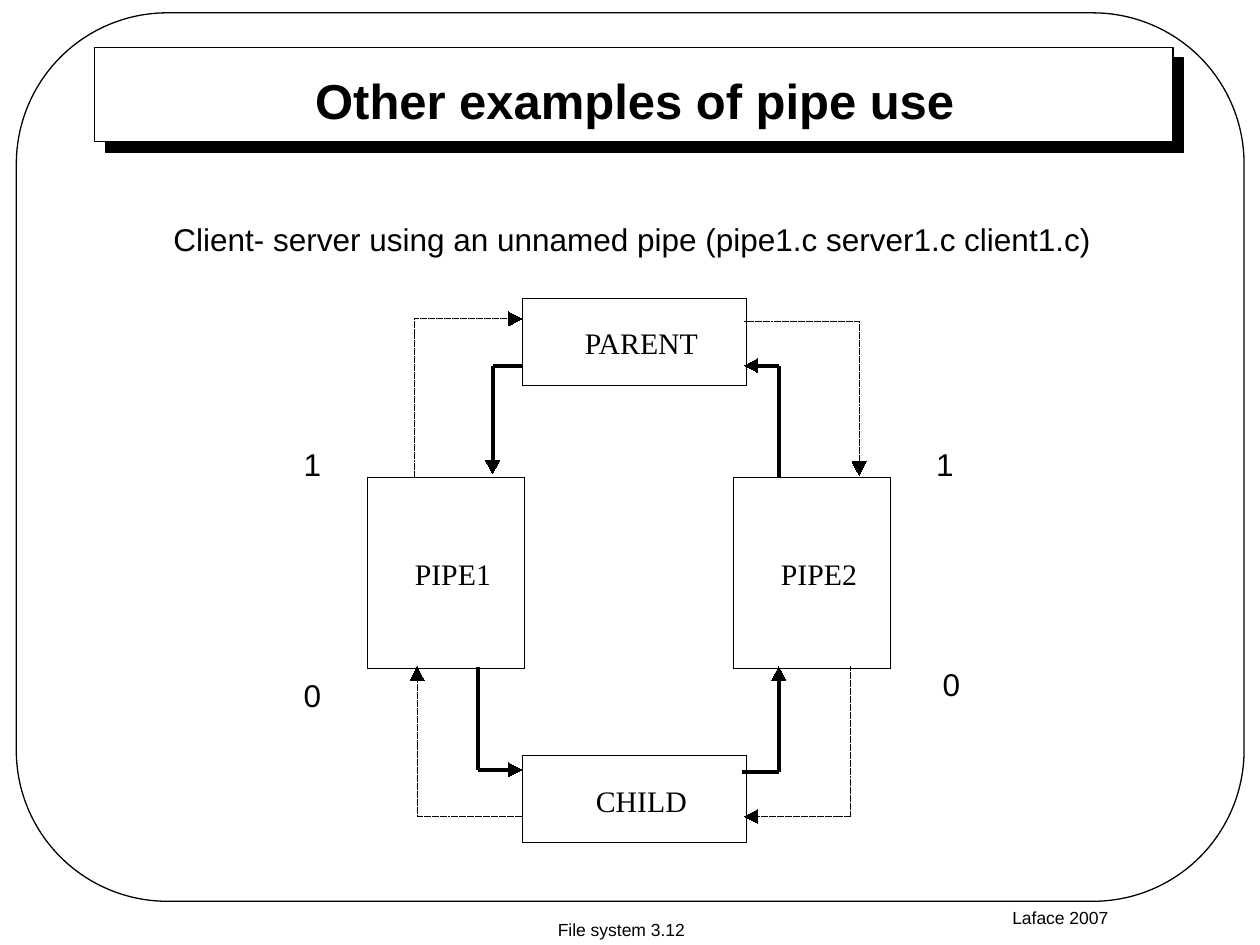
from math import hypot
from lxml import etree
from pptx import Presentation
from pptx.dml.color import RGBColor
from pptx.enum.dml import MSO_LINE
from pptx.enum.shapes import MSO_CONNECTOR, MSO_SHAPE
from pptx.enum.text import MSO_ANCHOR, MSO_AUTO_SIZE, PP_ALIGN
from pptx.oxml.ns import qn
from pptx.util import Cm, Pt

RECT, ROUND = MSO_SHAPE.RECTANGLE, MSO_SHAPE.ROUNDED_RECTANGLE
LINE, DOT = MSO_CONNECTOR.STRAIGHT, MSO_LINE.ROUND_DOT
TOP, MID = MSO_ANCHOR.TOP, MSO_ANCHOR.MIDDLE
NONE, GROW = MSO_AUTO_SIZE.NONE, MSO_AUTO_SIZE.SHAPE_TO_FIT_TEXT
CENTER = PP_ALIGN.CENTER

COLORS = {"ink": "000000", "paper": "FFFFFF"}
SANS, SERIF = "Arial", "Times New Roman"
TITLE = "Other examples of pipe use"
BODY = "Client- server using an unnamed pipe (pipe1.c server1.c client1.c)"
CREDIT, FOOTER = "Laface 2007", "File system 3.12"

WIDE, TALL = (4.52, 1.75), (3.18, 3.84)
NODES = [
    ("PARENT", 10.53, 6.02, WIDE, 2.5),
    ("CHILD", 10.53, 15.24, WIDE, 2.1),
    ("PIPE1", 7.4, 9.63, TALL, 1.75),
    ("PIPE2", 14.78, 9.63, TALL, 1.75),
]
ENDS = [("0", 5.79, 13.49), ("1", 5.79, 8.84), ("1", 18.54, 8.84), ("0", 18.67, 13.28)]

DOTTED = [
    [(10.52, 16.46), (8.41, 16.46), (8.41, 13.44)],
    [(17.15, 13.44), (17.15, 16.46), (15.01, 16.46)],
    [(8.36, 9.63), (8.36, 6.43), (10.52, 6.43)],
    [(15.01, 6.48), (17.32, 6.48), (17.32, 9.58)],
]
BOLD = [
    [(9.63, 13.44), (9.63, 15.52), (10.52, 15.52)],
    [(14.96, 15.57), (15.7, 15.57), (15.7, 13.44)],
    [(10.52, 7.37), (9.93, 7.37), (9.93, 9.55)],
    [(15.7, 9.63), (15.7, 7.37), (15.01, 7.37)],
]
HEAD, HALF = 0.27, 0.14

deck = Presentation()
deck.slide_width, deck.slide_height = Cm(25.4), Cm(19.05)
slide = deck.slides.add_slide(deck.slide_layouts[1])
shapes = slide.shapes


def color(name):
    return RGBColor.from_string(COLORS[name])


def ink(item, width):
    item.line.color.rgb = color("ink")
    item.element.spPr.find(qn("a:ln")).set("w", str(Pt(width)))


def place(item, x, y, w, h):
    item.left, item.top, item.width, item.height = Cm(x), Cm(y), Cm(w), Cm(h)


def box(kind, x, y, w, h, width=0, fill="paper"):
    item = shapes.add_shape(kind, Cm(x), Cm(y), Cm(w), Cm(h))
    item.shadow.inherit = False
    if fill:
        item.fill.solid()
        item.fill.fore_color.rgb = color(fill)
    else:
        item.fill.background()
    ink(item, width)
    return item


def write(item, text, size, font=SANS, bold=False, before=0, anchor=TOP,
          wrap=True, fit=NONE, pad=(0.25, 0.13)):
    frame = item.text_frame
    frame.text = text
    frame.word_wrap, frame.auto_size = wrap, fit
    frame.vertical_anchor = anchor
    frame.margin_left = frame.margin_right = Cm(pad[0])
    frame.margin_top = frame.margin_bottom = Cm(pad[1])
    para = frame.paragraphs[0]
    para.alignment, para.space_before = CENTER, Pt(before)
    para.font.name, para.font.size, para.font.bold = font, Pt(size), bold
    para.font.color.rgb = color("ink")
    return para


def label(text, x, y, w, h, size, **style):
    item = shapes.add_textbox(Cm(x), Cm(y), Cm(w), Cm(h))
    write(item, text, size, **style)


def stroke(start, end, width, dash):
    item = shapes.add_connector(LINE, *[Cm(v) for v in start + end])
    ink(item, width)
    if dash:
        item.line.dash_style = dash
    etree.SubElement(item.element.spPr, qn("a:effectLst"))


def route(points, width, dash=None):
    start, bend, tip = points
    dx, dy = tip[0] - bend[0], tip[1] - bend[1]
    size = hypot(dx, dy)
    dx, dy = dx / size, dy / size
    stroke(start, bend, width, dash)
    stroke(bend, (tip[0] - dx * HALF, tip[1] - dy * HALF), width, dash)
    back = (tip[0] - dx * HEAD, tip[1] - dy * HEAD)
    sides = [(back[0] - s * dy * HALF, back[1] + s * dx * HALF) for s in (1, -1)]
    pen = shapes.build_freeform(Cm(tip[0]), Cm(tip[1]))
    pen.add_line_segments([(Cm(x), Cm(y)) for x, y in sides], close=True)
    head = pen.convert_to_shape()
    head.shadow.inherit = False
    head.fill.solid()
    head.fill.fore_color.rgb = color("ink")
    ink(head, 0)


banner = box(RECT, 1.91, 0.96, 21.74, 1.9, 0.74)
glow = etree.SubElement(banner.element.spPr.find(qn("a:effectLst")), qn("a:outerShdw"),
                        dist=str(Pt(8.5)), dir="2700000", algn="ctr", rotWithShape="0")
etree.SubElement(glow, qn("a:srgbClr"), val=COLORS["ink"])
label(CREDIT, 17.35, 18.16, 8.05, 0.89, 10)
border = box(ROUND, 0.33, 0.26, 24.75, 17.91, 0.74, None)
border.adjustments[0] = 0.17
label(FOOTER, 10.39, 18.39, 4.27, 0.69, 10, before=6.2, anchor=MID, wrap=False, fit=GROW)

title, body = shapes.title, slide.placeholders[1]
place(title, 3.23, 1.37, 19.13, 1.27)
write(title, TITLE, 28, bold=True, anchor=MID)
place(body, 3.18, 4.3, 19.13, 1.85)
para = write(body, BODY, 18, before=11.2)
props = para._p.get_or_add_pPr()
props.set("marL", "0")
props.set("indent", "0")
bullet = etree.Element(qn("a:buNone"))
props.find(qn("a:spcBef")).addnext(bullet)
for item in (title, body):
    shapes.element.append(item.element)

for text, x, y, (w, h), span in NODES:
    box(RECT, x, y, w, h)
    label(text, x + (w - span) / 2 + 0.14, y + (h - 0.69) / 2, span, 0.71, 17,
          font=SERIF, wrap=False, fit=GROW, pad=(0, 0))
for points in DOTTED:
    route(points, 0, DOT)
for points in BOLD:
    route(points, 2.24)
for text, x, y in ENDS:
    label(text, x, y, 1.02, 1.02, 18, before=11.2, fit=GROW)

deck.save("out.pptx")
